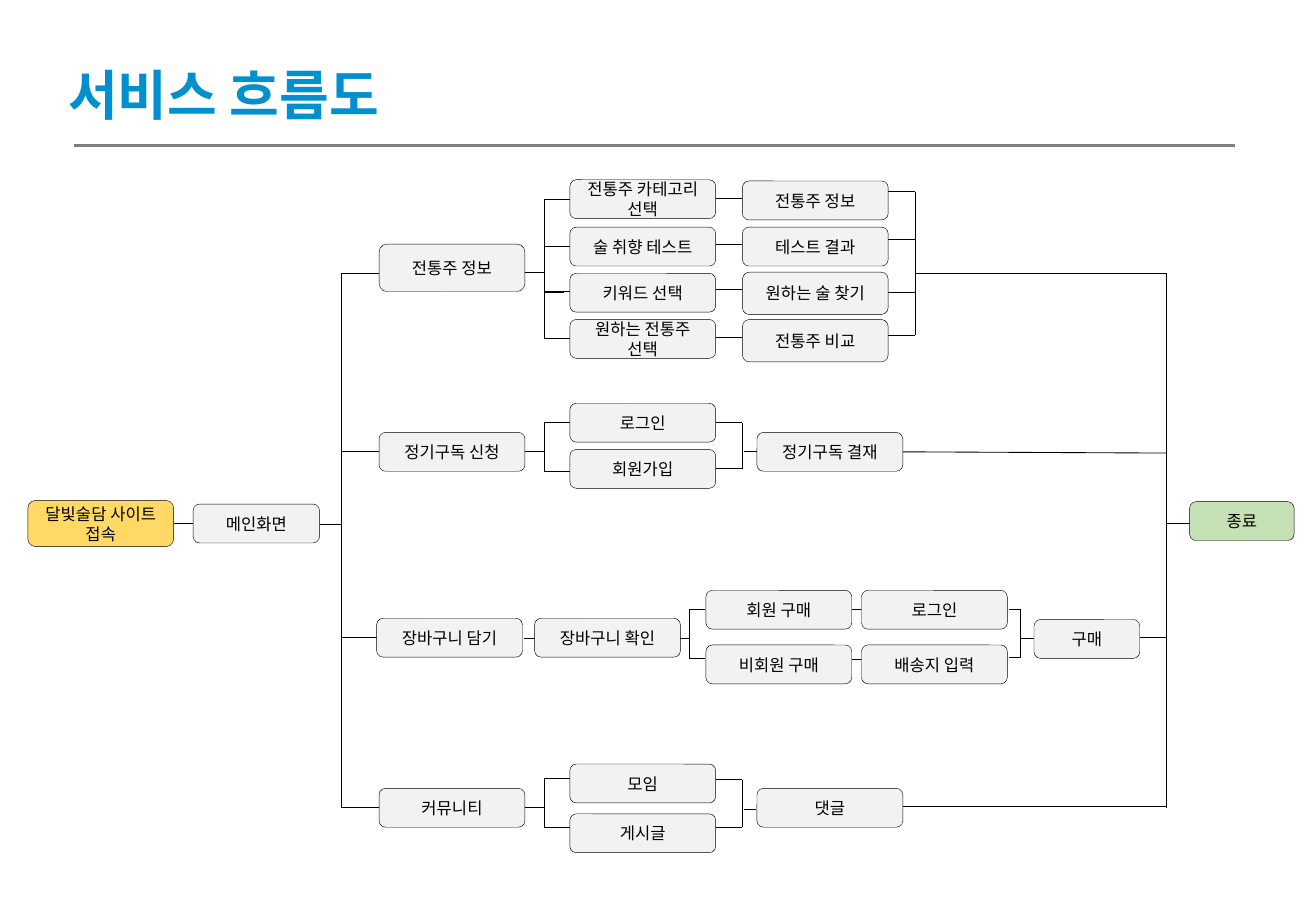
from typing import NamedTuple

from lxml.etree import SubElement
from pptx import Presentation
from pptx.dml.color import RGBColor
from pptx.enum.shapes import MSO_CONNECTOR, MSO_SHAPE
from pptx.enum.text import MSO_ANCHOR, MSO_AUTO_SIZE, PP_ALIGN
from pptx.oxml.ns import qn
from pptx.slide import Slide
from pptx.text.text import TextFrame
from pptx.util import Inches, Pt

BLACK = RGBColor(0x00, 0x00, 0x00)
GRAY = RGBColor(0x80, 0x80, 0x80)
BLUE = RGBColor(0x00, 0x90, 0xD0)
LIGHT = RGBColor(0xF2, 0xF2, 0xF2)
YELLOW = RGBColor(0xFF, 0xD9, 0x66)
GREEN = RGBColor(0xC5, 0xE0, 0xB4)
TITLE_FONT = "Calibri"
BOX_FONT = "Noto Sans CJK KR"


class Step(NamedTuple):
    text: str
    left: float
    top: float
    width: float = 1.2
    height: float = 0.32
    fill: RGBColor = LIGHT


class Bracket(NamedTuple):
    """A vertical spine with a horizontal tooth at each height."""
    spine: float
    tooth_end: float
    heights: tuple[float, ...]


class Link(NamedTuple):
    start: float
    end: float
    height: float


STEPS = [
    Step("달빛술담 사이트 접속", 0.23, 4.12, height=0.38, fill=YELLOW),
    Step("메인화면", 1.59, 4.15, width=1.04),
    Step("종료", 9.79, 4.13, width=0.86, fill=GREEN),
    # Traditional liquor information
    Step("전통주 정보", 3.12, 2.01, height=0.39),
    Step("전통주 카테고리 선택", 4.69, 1.48),
    Step("술 취향 테스트", 4.69, 1.87),
    Step("키워드 선택", 4.69, 2.25),
    Step("원하는 전통주 선택", 4.69, 2.63),
    Step("전통주 정보", 6.11, 1.49),
    Step("테스트 결과", 6.11, 1.87),
    Step("원하는 술 찾기", 6.11, 2.24, height=0.35),
    Step("전통주 비교", 6.11, 2.63, height=0.35),
    # Subscription
    Step("정기구독 신청", 3.12, 3.56),
    Step("로그인", 4.69, 3.32),
    Step("회원가입", 4.69, 3.7),
    Step("정기구독 결재", 6.23, 3.56),
    # Shopping cart
    Step("장바구니 담기", 3.1, 5.09),
    Step("장바구니 확인", 4.4, 5.09),
    Step("회원 구매", 5.81, 4.86),
    Step("비회원 구매", 5.81, 5.31),
    Step("로그인", 7.09, 4.86),
    Step("배송지 입력", 7.09, 5.31),
    Step("구매", 8.51, 5.1, width=0.87),
    # Community
    Step("커뮤니티", 3.12, 6.49),
    Step("모임", 4.69, 6.29),
    Step("게시글", 4.69, 6.7),
    Step("댓글", 6.23, 6.49),
]

BRACKETS = [
    Bracket(2.81, 3.12, (2.25, 3.72, 5.25, 6.65)),
    Bracket(4.48, 4.69, (1.64, 2.03, 2.4, 2.79)),
    Bracket(7.53, 7.31, (1.58, 1.97, 2.41, 2.76)),
    Bracket(4.48, 4.69, (3.48, 3.88)),
    Bracket(6.11, 5.89, (3.48, 3.86)),
    Bracket(5.67, 5.8, (5.02, 5.42)),
    Bracket(8.4, 8.3, (5.02, 5.41)),
    Bracket(4.48, 4.69, (6.41, 6.81)),
    Bracket(6.11, 5.89, (6.42, 6.81)),
]

LINKS = [
    Link(1.43, 1.59, 4.31), Link(2.63, 2.81, 4.32), Link(9.6, 9.79, 4.31),
    Link(4.31, 4.48, 2.24), Link(4.48, 4.64, 2.41), Link(7.53, 9.6, 2.25),
    *(Link(5.89, 6.11, height) for height in (1.63, 2.01, 2.38, 2.78)),
    Link(4.31, 4.48, 3.72), Link(6.12, 6.23, 3.72),
    Link(4.31, 4.4, 5.26), Link(5.59, 5.68, 5.26),
    Link(7.01, 7.09, 5.02), Link(7.01, 7.09, 5.43),
    Link(8.4, 8.51, 5.26), Link(9.38, 9.6, 5.25),
    Link(4.31, 4.48, 6.65), Link(6.12, 6.22, 6.66), Link(7.42, 9.6, 6.64),
]


def write_text(frame: TextFrame, text: str, *, size: float, font: str, color: RGBColor,
               bold: bool = False, align: PP_ALIGN = PP_ALIGN.LEFT,
               wrap: bool = True) -> None:
    frame.word_wrap = wrap
    frame.vertical_anchor = MSO_ANCHOR.MIDDLE
    para = frame.paragraphs[0]
    para.alignment = align
    span = para.add_run()
    span.text = text
    span.font.size = Pt(size)
    span.font.bold = bold
    span.font.color.rgb = color
    span.font.name = font
    SubElement(span.font._element, qn("a:ea"), typeface=font)


def draw_line(page: Slide, x1: float, y1: float, x2: float, y2: float,
              color: RGBColor = BLACK, weight: float = 0.5) -> None:
    line = page.shapes.add_connector(
        MSO_CONNECTOR.STRAIGHT, Inches(x1), Inches(y1), Inches(x2), Inches(y2))
    line.line.color.rgb = color
    line.line.width = Pt(weight)
    SubElement(line._element.spPr, qn("a:effectLst"))


def draw_bracket(page: Slide, bracket: Bracket) -> None:
    draw_line(page, bracket.spine, bracket.heights[0], bracket.spine, bracket.heights[-1])
    for height in bracket.heights:
        draw_line(page, bracket.spine, height, bracket.tooth_end, height)


def draw_step(page: Slide, step: Step) -> None:
    box = page.shapes.add_shape(
        MSO_SHAPE.ROUNDED_RECTANGLE, Inches(step.left), Inches(step.top),
        Inches(step.width), Inches(step.height))
    box.shadow.inherit = False
    box.fill.solid()
    box.fill.fore_color.rgb = step.fill
    box.line.color.rgb = BLACK
    box.line.width = Pt(0.25)
    write_text(box.text_frame, step.text, size=9.8, font=BOX_FONT, color=BLACK,
               align=PP_ALIGN.CENTER)


def draw_title(page: Slide, text: str) -> None:
    title = page.shapes.title
    title.left, title.top = Inches(0.46), Inches(0.45)
    title.width, title.height = Inches(3), Inches(0.64)
    write_text(title.text_frame, text, size=32, font=TITLE_FONT, color=BLUE,
               bold=True, wrap=False)
    title.text_frame.auto_size = MSO_AUTO_SIZE.SHAPE_TO_FIT_TEXT
    draw_line(page, 0.61, 1.2, 10.16, 1.2, color=GRAY, weight=1.5)


def main() -> None:
    deck = Presentation()
    deck.slide_width, deck.slide_height = Inches(10.83), Inches(7.5)
    page = deck.slides.add_slide(deck.slide_layouts.get_by_name("Title Only"))
    draw_title(page, "서비스 흐름도")
    for bracket in BRACKETS:
        draw_bracket(page, bracket)
    for link in LINKS:
        draw_line(page, link.start, link.height, link.end, link.height)
    draw_line(page, 9.6, 2.25, 9.6, 6.65)
    draw_line(page, 7.42, 3.72, 9.6, 3.73)
    for step in STEPS:
        draw_step(page, step)
    deck.save("out.pptx")


if __name__ == "__main__":
    main()
